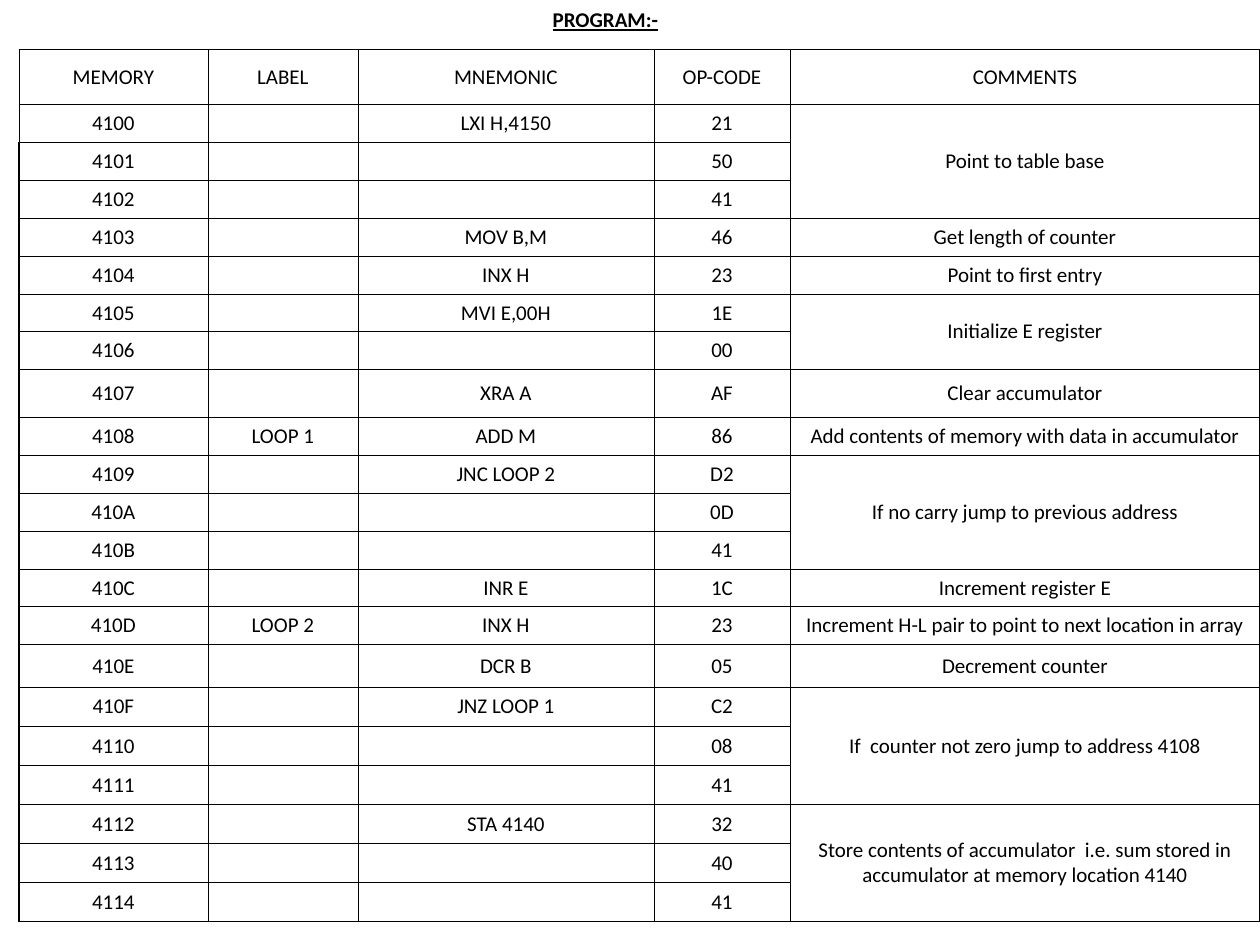
from dataclasses import dataclass

from lxml import etree
from pptx import Presentation
from pptx.dml.color import RGBColor
from pptx.enum.text import MSO_ANCHOR, MSO_AUTO_SIZE, PP_ALIGN
from pptx.oxml.ns import qn
from pptx.util import Inches, Pt

CENTER = PP_ALIGN.CENTER
MIDDLE = MSO_ANCHOR.MIDDLE
TOP = MSO_ANCHOR.TOP
GROW = MSO_AUTO_SIZE.SHAPE_TO_FIT_TEXT
TITLE_ONLY = 5


@dataclass(frozen=True)
class Theme:
    font: str = "Calibri"
    size: int = 12
    ink: str = "000000"
    thin: float = 0.25
    thick: float = 1


THEME = Theme()
HEADINGS = ("MEMORY", "LABEL", "MNEMONIC", "OP-CODE", "COMMENTS")
COLUMN_WIDTHS = (1.5, 1.19, 2.35, 1.08, 3.73)
HEADING_HEIGHT = 0.44
START_ADDRESS = 0x4100
INSTRUCTIONS = (
    ("", "LXI H,4150", "21 50 41", "Point to table base", 0.29),
    ("", "MOV B,M", "46", "Get length of counter", 0.29),
    ("", "INX H", "23", "Point to first entry", 0.29),
    ("", "MVI E,00H", "1E 00", "Initialize E register", 0.29),
    ("", "XRA A", "AF", "Clear accumulator", 0.38),
    ("LOOP 1", "ADD M", "86", "Add contents of memory with data in accumulator", 0.29),
    ("", "JNC LOOP 2", "D2 0D 41", "If no carry jump to previous address", 0.29),
    ("", "INR E", "1C", "Increment register E", 0.29),
    ("LOOP 2", "INX H", "23", "Increment H-L pair to point to next location in array", 0.29),
    ("", "DCR B", "05", "Decrement counter", 0.34),
    ("", "JNZ LOOP 1", "C2 08 41", "If  counter not zero jump to address 4108", 0.31),
    ("", "STA 4140", "32 40 41", "Store contents of accumulator  i.e. sum stored in "
     "accumulator at memory location 4140", 0.31),
)


def write(paragraph, text, **extra):
    paragraph.alignment = CENTER
    if not text:
        end = paragraph._p.get_or_add_endParaRPr()
        end.set("sz", str(THEME.size * 100))
        return
    run = paragraph.add_run()
    run.text = text
    run.font.color.rgb = RGBColor.from_string(THEME.ink)
    formats = {"name": THEME.font, "size": Pt(THEME.size), **extra}
    for attribute, value in formats.items():
        setattr(run.font, attribute, value)


def draw_borders(cell, widths):
    properties = cell._tc.get_or_add_tcPr()
    for side, width in widths.items():
        line = etree.SubElement(properties, qn(f"a:ln{side}"), w=str(Pt(width)))
        fill = etree.SubElement(line, qn("a:solidFill"))
        etree.SubElement(fill, qn("a:srgbClr"), val=THEME.ink)


def listing_rows():
    rows, heights, spans = [HEADINGS], [HEADING_HEIGHT], []
    for label, mnemonic, codes, comment, height in INSTRUCTIONS:
        codes = codes.split()
        spans.append((len(rows), len(rows) + len(codes) - 1))
        for offset, code in enumerate(codes):
            address = f"{START_ADDRESS + len(rows) - 1:X}"
            shown = (label, mnemonic, comment) if offset == 0 else ("", "", "")
            rows.append((address, shown[0], shown[1], code, shown[2]))
            heights.append(height)
    return rows, heights, spans


def add_title(slide, left, top, width, height):
    title = slide.shapes.title
    title.left, title.top, title.width, title.height = left, top, width, height
    frame = title.text_frame
    frame.word_wrap = True
    frame.auto_size = GROW
    frame.vertical_anchor = TOP
    write(frame.paragraphs[0], "PROGRAM:-", bold=True, underline=True)


def add_program(slide, left, top, width, height):
    rows, heights, spans = listing_rows()
    last = len(HEADINGS) - 1
    table = slide.shapes.add_table(len(rows), len(HEADINGS), left, top, width, height).table
    table.first_row = False
    table.horz_banding = False
    for column, column_width in zip(table.columns, COLUMN_WIDTHS):
        column.width = Inches(column_width)
    for row, row_height in zip(table.rows, heights):
        row.height = Inches(row_height)
    for r, texts in enumerate(rows):
        for c, text in enumerate(texts):
            cell = table.cell(r, c)
            draw_borders(cell, {
                "L": THEME.thick if c == 0 and r > 1 else THEME.thin,
                "R": THEME.thick if c == last else THEME.thin,
                "T": THEME.thin,
                "B": THEME.thin,
            })
            cell.fill.background()
            cell.vertical_anchor = MIDDLE
            write(cell.text_frame.paragraphs[0], text)
    for first, final in spans:
        if final > first:
            table.cell(first, last).merge(table.cell(final, last))


def main():
    deck = Presentation()
    deck.slide_width, deck.slide_height = Inches(10), Inches(7.5)
    slide = deck.slides.add_slide(deck.slide_layouts[TITLE_ONLY])
    add_title(slide, Inches(3.71), Inches(0), Inches(2.19), Inches(0.3))
    add_program(slide, Inches(0.15), Inches(0.39), Inches(9.85), Inches(6.9))
    deck.save("out.pptx")


if __name__ == "__main__":
    main()
